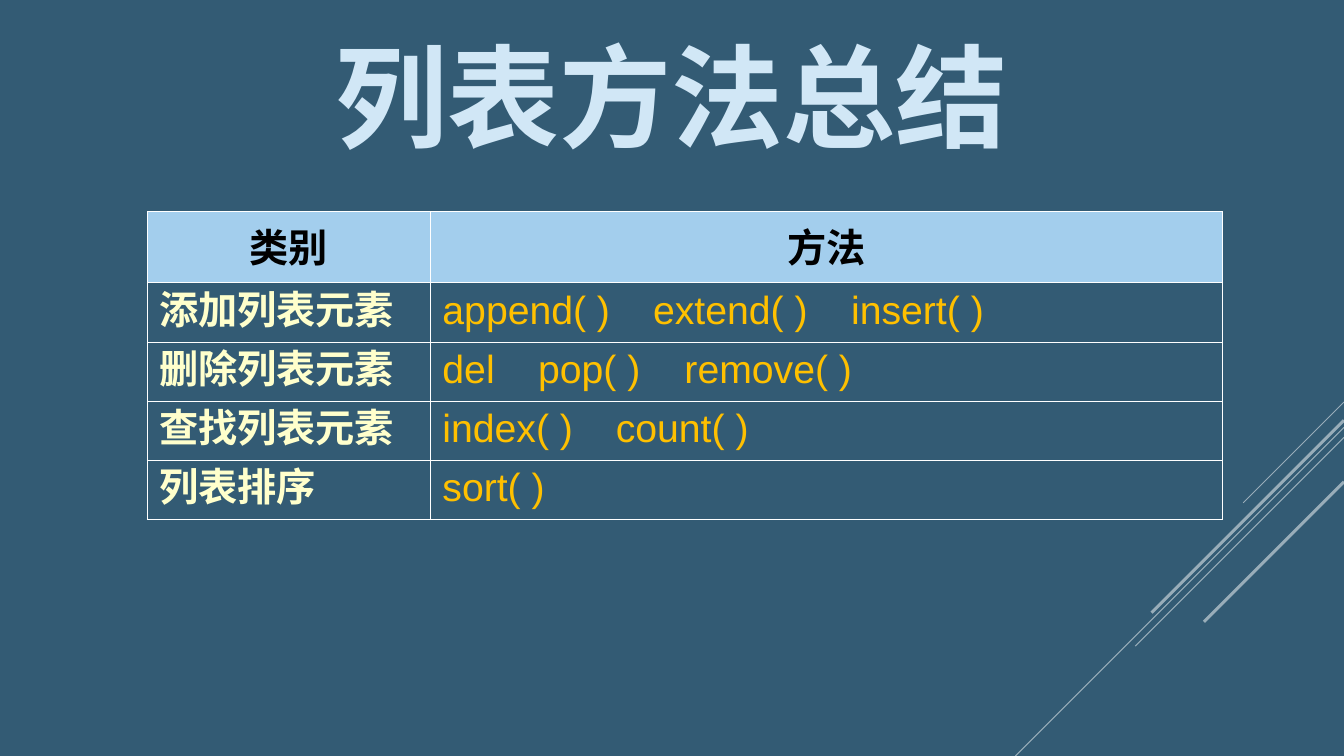
from lxml.etree import SubElement
from pptx import Presentation
from pptx.dml.color import RGBColor
from pptx.enum.shapes import MSO_CONNECTOR
from pptx.enum.text import MSO_ANCHOR, PP_ALIGN
from pptx.oxml.ns import qn
from pptx.util import Cm, Pt

COLORS = {
    "background": "335B74",
    "title": "D1E7F6",
    "header_fill": "A3CEED",
    "header_text": "000000",
    "category": "FFFFCC",
    "method": "FFC000",
    "line": "FFFFFF",
}
HEADING_FONT = "Noto Sans CJK SC"
BODY_FONT = "Arial"
SLIDE_WIDTH = 33.87

HEADERS = ["类别", "方法"]
METHOD_ROWS = [
    ("添加列表元素", ["append( )", "extend( )", "insert( )"], [5.31, 10.3]),
    ("删除列表元素", ["del", "pop( )", "remove( )"], [2.41, 6.1]),
    ("查找列表元素", ["index( )", "count( )"], [4.37]),
    ("列表排序", ["sort( )"], []),
]
DIAGONALS = [
    (10.13, 2.54, 0.75),
    (10.77, 8.28, 0.75),
    (11.02, 5.26, 0.75),
    (10.59, 4.85, 2.25),
    (12.14, 3.53, 2.25),
]


def color(name):
    return RGBColor.from_string(COLORS[name])


def add_run(paragraph, text, size, font, color_name, bold):
    run = paragraph.add_run()
    run.text = text
    run.font.size = Pt(size)
    run.font.name = font
    run.font.bold = bold
    run.font.color.rgb = color(color_name)
    SubElement(run.font._element, qn("a:ea"), typeface=font)


def add_diagonal(slide, top, reach, width):
    connector = slide.shapes.add_connector(
        MSO_CONNECTOR.STRAIGHT,
        Cm(SLIDE_WIDTH), Cm(top), Cm(SLIDE_WIDTH - reach), Cm(top + reach),
    )
    connector.line.width = Pt(width)
    connector.line.color.rgb = color("line")
    properties = connector._element.spPr
    line_color = properties.find(".//" + qn("a:srgbClr"))
    SubElement(line_color, qn("a:alpha"), val="50000")
    SubElement(properties, qn("a:effectLst"))


def add_title(slide, text):
    title = slide.shapes.add_textbox(Cm(1.3), Cm(0.76), Cm(31.24), Cm(3.68))
    frame = title.text_frame
    frame.word_wrap = True
    frame.vertical_anchor = MSO_ANCHOR.MIDDLE
    paragraph = frame.paragraphs[0]
    paragraph.alignment = PP_ALIGN.CENTER
    paragraph.line_spacing = 0.9
    add_run(paragraph, text, 80, HEADING_FONT, "title", True)


def style_cell(cell, fill=None):
    cell.margin_left = cell.margin_right = Cm(0.3)
    cell.margin_top = cell.margin_bottom = Cm(0.15)
    properties = cell._tc.get_or_add_tcPr()
    for side in ("lnL", "lnR", "lnT", "lnB"):
        border = SubElement(properties, qn(f"a:{side}"), w=str(Pt(0.75)))
        border_fill = SubElement(border, qn("a:solidFill"))
        SubElement(border_fill, qn("a:srgbClr"), val=COLORS["line"])
    if fill:
        cell.fill.solid()
        cell.fill.fore_color.rgb = color(fill)
    else:
        cell.fill.background()


def set_tab_stops(paragraph, positions):
    tab_list = SubElement(paragraph._p.get_or_add_pPr(), qn("a:tabLst"))
    for position in positions:
        SubElement(tab_list, qn("a:tab"), pos=str(Cm(position)), algn="l")


def add_method_table(slide):
    table = slide.shapes.add_table(
        len(METHOD_ROWS) + 1, len(HEADERS), Cm(3.71), Cm(5.33), Cm(27.1), Cm(7.76)
    ).table
    table.columns[0].width = Cm(7.14)
    table.columns[1].width = Cm(19.96)
    for row in table.rows:
        row.height = Cm(1.49)
    table.rows[0].height = Cm(1.8)

    for column, header in enumerate(HEADERS):
        cell = table.cell(0, column)
        style_cell(cell, "header_fill")
        paragraph = cell.text_frame.paragraphs[0]
        paragraph.alignment = PP_ALIGN.CENTER
        add_run(paragraph, header, 28, HEADING_FONT, "header_text", True)

    for row, (category, methods, tab_stops) in enumerate(METHOD_ROWS, start=1):
        category_cell, method_cell = table.cell(row, 0), table.cell(row, 1)
        style_cell(category_cell)
        style_cell(method_cell)
        add_run(category_cell.text_frame.paragraphs[0], category, 28, BODY_FONT, "category", True)
        paragraph = method_cell.text_frame.paragraphs[0]
        if tab_stops:
            set_tab_stops(paragraph, tab_stops)
        add_run(paragraph, "\t".join(methods), 28, BODY_FONT, "method", False)


def main():
    presentation = Presentation()
    presentation.slide_width = Cm(SLIDE_WIDTH)
    presentation.slide_height = Cm(19.05)
    slide = presentation.slides.add_slide(presentation.slide_layouts[6])
    slide.background.fill.solid()
    slide.background.fill.fore_color.rgb = color("background")
    for top, reach, width in DIAGONALS:
        add_diagonal(slide, top, reach, width)
    add_title(slide, "列表方法总结")
    add_method_table(slide)
    presentation.save("out.pptx")


if __name__ == "__main__":
    main()
